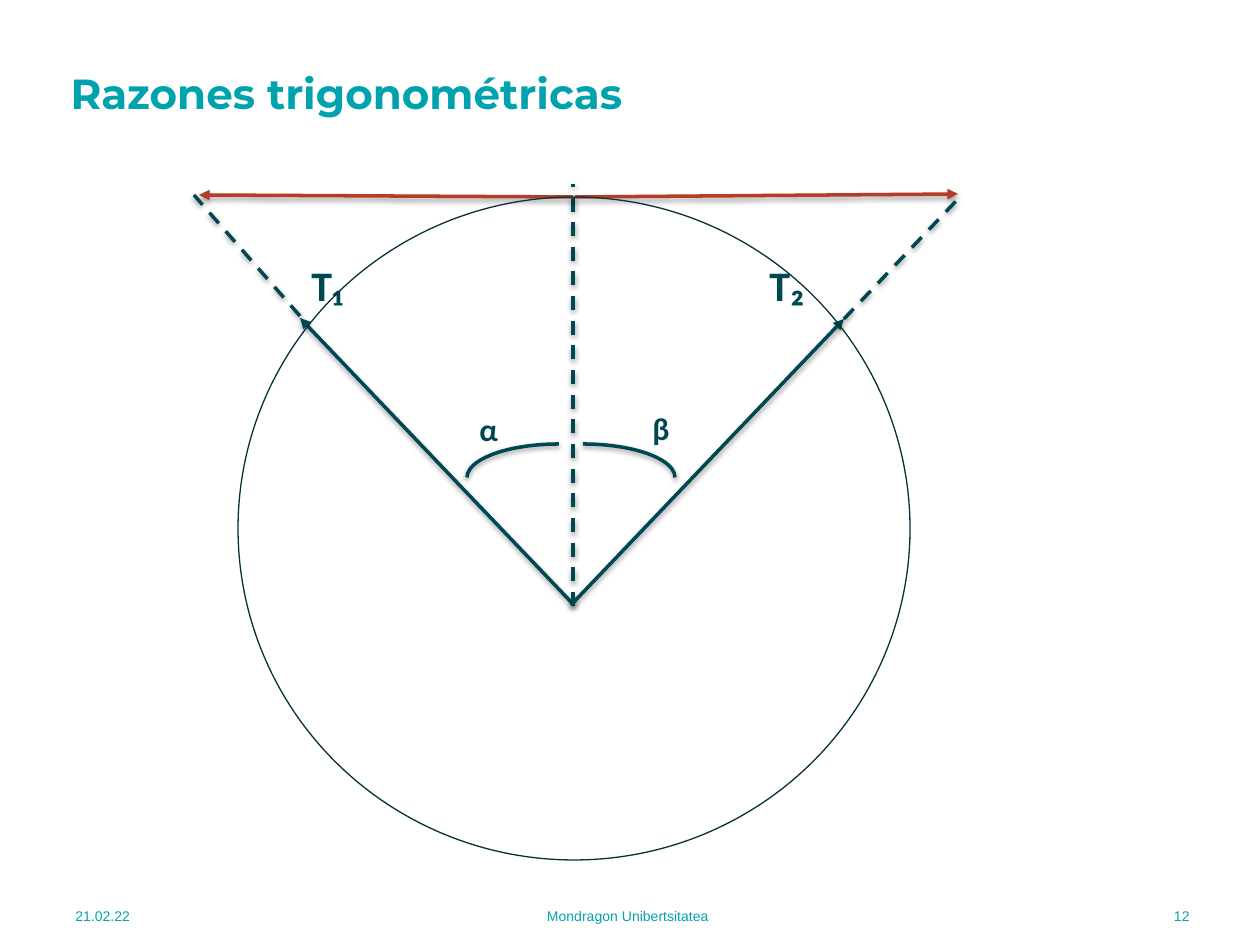
from dataclasses import dataclass

from lxml.etree import SubElement
from pptx import Presentation
from pptx.dml.color import RGBColor
from pptx.enum.dml import MSO_LINE
from pptx.enum.shapes import MSO_CONNECTOR, MSO_SHAPE
from pptx.enum.text import MSO_ANCHOR, MSO_AUTO_SIZE, PP_ALIGN
from pptx.oxml.ns import qn
from pptx.util import Emu, Pt

SCALE = 914400 / 126


@dataclass(frozen=True)
class Theme:
    """Colours, fonts and sizes of the slide."""
    teal: RGBColor = RGBColor.from_string("00A3AD")
    dark: RGBColor = RGBColor.from_string("004851")
    ring: RGBColor = RGBColor.from_string("053139")
    red: RGBColor = RGBColor.from_string("B33D26")
    title_font: str = "Montserrat"
    label_font: str = "Calibri"
    footer_font: str = "Arial"
    title_size: int = 24
    force_size: int = 24
    angle_size: int = 18
    footer_size: int = 8
    stroke: float = 2
    thin: float = 0.75


THEME = Theme()


def px(*values):
    """Turn pixel lengths into EMU."""
    return [Emu(round(v * SCALE)) for v in values]


def apply(obj, formats):
    """Set each attribute named in a dict."""
    for name, value in formats.items():
        setattr(obj, name, value)


def write(tf, text, name, size, color, bold=False, frame=None, para=None):
    """Put one formatted paragraph in a text frame."""
    apply(tf, {"word_wrap": True, **(frame or {})})
    p = tf.paragraphs[0]
    apply(p, para or {})
    r = p.add_run()
    r.text = text
    apply(r.font, {"name": name, "size": Pt(size), "bold": bold})
    r.font.color.rgb = color


def stroke(sp, color, width):
    """Give a shape or connector its line."""
    sp.line.color.rgb = color
    sp.line.width = Pt(width)


def cast_shadow(sp):
    """Give a shape or connector a soft shadow straight below it."""
    effects = SubElement(sp._element.spPr, qn("a:effectLst"))
    shadow = SubElement(effects, qn("a:outerShdw"), blurRad=str(Pt(3.1)),
                        dist=str(Pt(1.6)), dir="5400000", rotWithShape="0")
    black = SubElement(shadow, qn("a:srgbClr"), val="000000")
    SubElement(black, qn("a:alpha"), val="38000")


def add_line(shapes, x, y, start, end, color, dash=False, arrow=False):
    """Draw a shadowed line between two points of the box at x, y."""
    ends = px(x + start[0], y + start[1], x + end[0], y + end[1])
    cx = shapes.add_connector(MSO_CONNECTOR.STRAIGHT, *ends)
    stroke(cx, color, THEME.stroke)
    if dash:
        cx.line.dash_style = MSO_LINE.DASH
    if arrow:
        SubElement(cx.line._get_or_add_ln(), qn("a:tailEnd"), type="triangle")
    cast_shadow(cx)


def add_outline(shapes, kind, x, y, w, h, color, width):
    """Draw an unfilled preset shape."""
    sp = shapes.add_shape(kind, *px(x, y, w, h))
    sp.fill.background()
    stroke(sp, color, width)
    return sp


def add_title(s, x, y, w, h):
    """Place and format the title placeholder."""
    sp = s.shapes.title
    apply(sp, dict(zip(("left", "top", "width", "height"), px(x, y, w, h))))
    write(sp.text_frame, "Razones trigonométricas", THEME.title_font,
          THEME.title_size, THEME.teal, True,
          {"vertical_anchor": MSO_ANCHOR.MIDDLE},
          {"alignment": PP_ALIGN.LEFT, "line_spacing": 0.9})


def add_footer(s, x, y, w, h):
    """Place the date, the institution and the page number."""
    parts = [("21.02.22", 0, 163, PP_ALIGN.LEFT),
             ("Mondragon Unibertsitatea", 236, 658, PP_ALIGN.CENTER),
             ("12", w - 161, 161, PP_ALIGN.RIGHT)]
    for text, dx, width, align in parts:
        tb = s.shapes.add_textbox(*px(x + dx, y, width, h))
        write(tb.text_frame, text, THEME.footer_font, THEME.footer_size,
              THEME.teal, frame={"vertical_anchor": MSO_ANCHOR.MIDDLE},
              para={"alignment": align, "space_after": Pt(6)})


def add_diagram(s, x, y, w, h):
    """Draw the circle, the two forces, their angles and the tangents."""
    shapes = s.shapes.add_group_shape().shapes
    mid = 379
    labels = [("T₁", 105, 69, 86, THEME.force_size),
              ("T₂", 563, 69, 86, THEME.force_size),
              ("α", 273, 220, 68, THEME.angle_size),
              ("β", 446, 219, 68, THEME.angle_size)]
    for text, dx, dy, height, size in labels:
        tb = shapes.add_textbox(*px(x + dx, y + dy, 120, height))
        write(tb.text_frame, text, THEME.label_font, size, THEME.dark, True,
              {"auto_size": MSO_AUTO_SIZE.SHAPE_TO_FIT_TEXT})

    lines = [((mid, 420), (106, 134), THEME.dark, False, True),
             ((mid, 422), (mid, 0), THEME.dark, True, False),
             ((mid - 2, 421), (650, 135), THEME.dark, False, True),
             ((mid + 2, 13), (w, 10), THEME.red, False, True),
             ((mid, 13), (5, 11), THEME.red, False, True),
             ((650, 135), (w, 15), THEME.dark, True, False),
             ((106, 132), (0, 11), THEME.dark, True, False)]
    for line in lines:
        add_line(shapes, x, y, *line)

    for dx, flip in ((297, False), (273, True)):
        arc = add_outline(shapes, MSO_SHAPE.ARC, x + dx, y + 260, 184, 67,
                          THEME.dark, THEME.stroke)
        if flip:
            arc._element.spPr.xfrm.set("flipH", "1")
        cast_shadow(arc)

    circle = add_outline(shapes, MSO_SHAPE.OVAL, x + 44, y + 13, 672, h - 13,
                         THEME.ring, THEME.thin)
    circle.shadow.inherit = False


def main():
    """Build the slide and save it."""
    prs = Presentation()
    prs.slide_width, prs.slide_height = px(1260, 945)
    s = prs.slides.add_slide(prs.slide_layouts[5])
    add_title(s, 58, 66, 1056, 59)
    add_footer(s, 63, 891, 1139, 50)
    add_diagram(s, 194, 184, 764, 676)
    prs.save("out.pptx")


if __name__ == "__main__":
    main()
